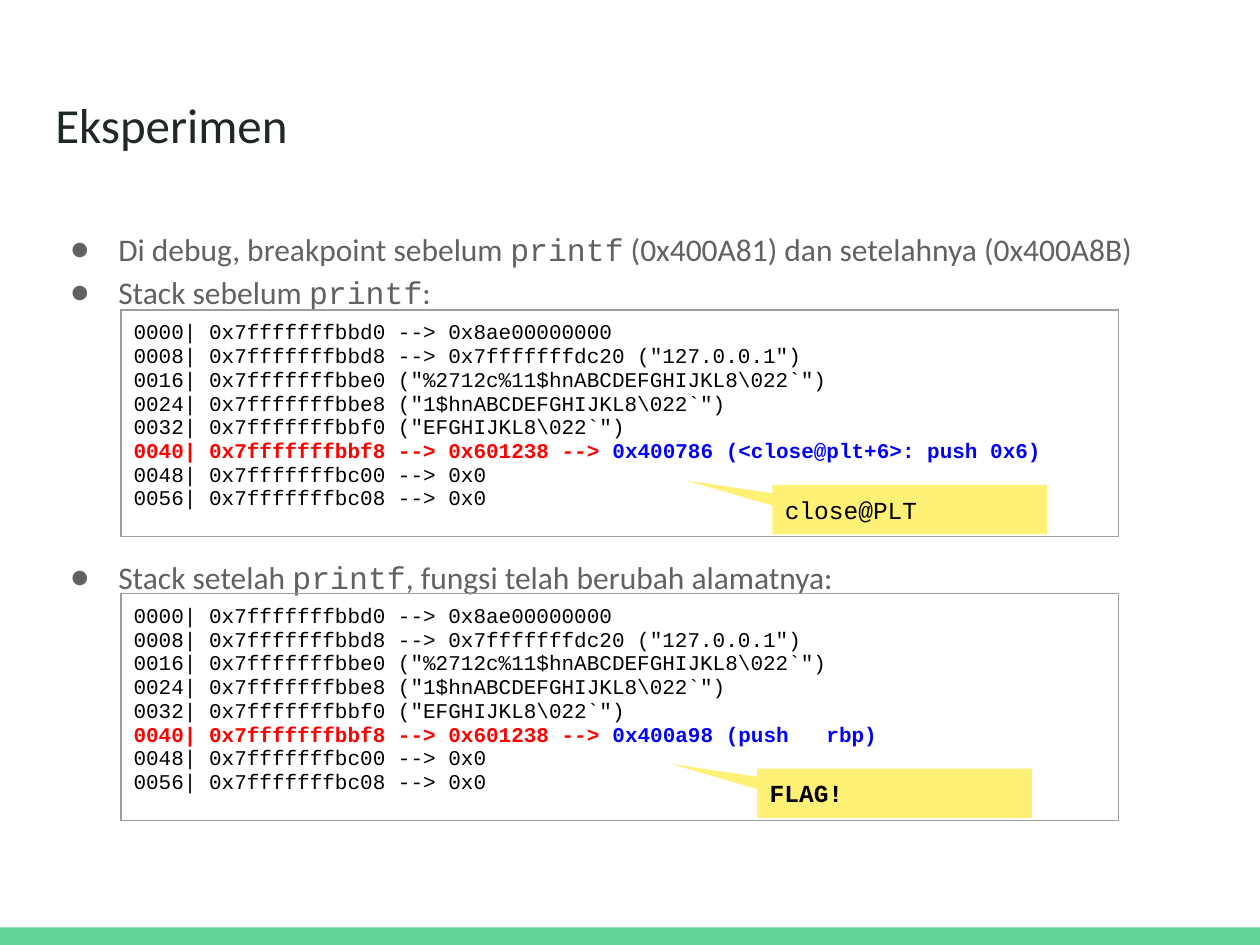
from lxml import etree
from pptx import Presentation
from pptx.dml.color import RGBColor
from pptx.enum.shapes import MSO_SHAPE
from pptx.enum.text import MSO_ANCHOR, PP_ALIGN
from pptx.oxml.ns import qn
from pptx.util import Inches, Pt

RECTANGLE = MSO_SHAPE.RECTANGLE
CALLOUT = MSO_SHAPE.RECTANGULAR_CALLOUT
TOP, MIDDLE = MSO_ANCHOR.TOP, MSO_ANCHOR.MIDDLE
LEFT = PP_ALIGN.LEFT

WIDTH, HEIGHT = 10, 7.5
SANS, MONO = "Calibri", "Courier New"
CODE_SIZE = 12
COLORS = {
    "title": "202729", "body": "616161", "code": "000000", "address": "FF0000",
    "target": "0000FF", "border": "9E9E9E", "callout": "FFF176", "bar": "63D297",
}

TITLE = "Eksperimen"
BULLETS = [
    (0, [("Di debug, breakpoint sebelum ", SANS), ("printf", MONO),
         (" (0x400A81) dan setelahnya (0x400A8B)", SANS)]),
    (0, [("Stack sebelum ", SANS), ("printf", MONO), (":", SANS)]),
    (138, [("Stack setelah ", SANS), ("printf", MONO),
           (", fungsi telah berubah alamatnya:", SANS)]),
]
STACK_HEAD = [
    "0000| 0x7fffffffbbd0 --> 0x8ae00000000",
    '0008| 0x7fffffffbbd8 --> 0x7fffffffdc20 ("127.0.0.1")',
    '0016| 0x7fffffffbbe0 ("%2712c%11$hnABCDEFGHIJKL8\\022`")',
    '0024| 0x7fffffffbbe8 ("1$hnABCDEFGHIJKL8\\022`")',
    '0032| 0x7fffffffbbf0 ("EFGHIJKL8\\022`")',
]
CHANGED_ENTRY = "0040| 0x7fffffffbbf8 --> 0x601238 --> "
STACK_TAIL = ["0048| 0x7fffffffbc00 --> 0x0", "0056| 0x7fffffffbc08 --> 0x0"]
DUMPS = [
    {"target": "0x400786 (<close@plt+6>: push 0x6)", "label": "close@PLT",
     "label_left": 6.13, "bold": False},
    {"target": "0x400a98 (push   rbp)", "label": "FLAG!",
     "label_left": 6.01, "bold": True},
]
MARGIN = 0.34
DUMP_LEFT, DUMP_TOP, DUMP_WIDTH, DUMP_HEIGHT = 0.96, 2.46, 7.92, 1.7
DUMP_PITCH, LABEL_DROP = 2.25, 1.39


def inches(*lengths):
    return [Inches(length) for length in lengths]


def color(name):
    return RGBColor.from_string(COLORS[name])


def set_font(font, name, size, color_name, bold=False):
    font.name, font.size, font.bold = name, Pt(size), bold
    font.color.rgb = color(color_name)


def prepare_frame(frame, anchor):
    frame.word_wrap = True
    frame.vertical_anchor = anchor
    frame.margin_left = frame.margin_right = Inches(0.1)
    frame.margin_top = frame.margin_bottom = Inches(0.1)
    return frame


def paragraphs(frame, count):
    for _ in range(count - 1):
        frame.add_paragraph()
    return frame.paragraphs


def set_end_size(paragraph, size):
    etree.SubElement(paragraph._p, qn("a:endParaRPr"), sz=str(size * 100))


def add_box(slide, kind, place, fill):
    shape = slide.shapes.add_shape(kind, *inches(*place))
    shape.shadow.inherit = False
    shape.fill.solid()
    shape.fill.fore_color.rgb = color(fill)
    shape.line.fill.background()
    return shape


def add_text_frame(slide, top, height):
    box = slide.shapes.add_textbox(*inches(MARGIN, top, WIDTH - 2 * MARGIN, height))
    return prepare_frame(box.text_frame, TOP)


def add_bullet(paragraph):
    properties = paragraph._p.get_or_add_pPr()
    properties.set("marL", str(Inches(0.5)))
    properties.set("indent", str(Inches(-0.38)))
    bullet_color = etree.SubElement(properties, qn("a:buClr"))
    etree.SubElement(bullet_color, qn("a:srgbClr"), val=COLORS["body"])
    etree.SubElement(properties, qn("a:buFont"), typeface=SANS)
    etree.SubElement(properties, qn("a:buChar"), char="●")


def add_bullets(slide):
    frame = add_text_frame(slide, 1.68, 4.98)
    for paragraph, (space, runs) in zip(paragraphs(frame, len(BULLETS)), BULLETS):
        paragraph.line_spacing = 1.15
        paragraph.space_before = Pt(space)
        add_bullet(paragraph)
        for text, font_name in runs:
            run = paragraph.add_run()
            run.text = text
            set_font(run.font, font_name, 18, "body")


def add_borders(cell):
    properties = cell._tc.get_or_add_tcPr()
    for index, side in enumerate(("lnL", "lnR", "lnT", "lnB")):
        line = etree.Element(qn(f"a:{side}"), w=str(Pt(0.75)))
        fill = etree.SubElement(line, qn("a:solidFill"))
        etree.SubElement(fill, qn("a:srgbClr"), val=COLORS["border"])
        properties.insert(index, line)


def add_dump(slide, top, target):
    place = inches(DUMP_LEFT, top, DUMP_WIDTH, DUMP_HEIGHT)
    table = slide.shapes.add_table(1, 1, *place).table
    table.first_row = table.horz_banding = False
    cell = table.cell(0, 0)
    cell.fill.background()
    add_borders(cell)
    cell.margin_left = cell.margin_right = Inches(0.1)
    cell.margin_top = cell.margin_bottom = Inches(0.1)
    lines = [[(text, "code")] for text in STACK_HEAD]
    lines.append([(CHANGED_ENTRY, "address"), (target, "target")])
    lines += [[(text, "code")] for text in STACK_TAIL]
    for paragraph, runs in zip(paragraphs(cell.text_frame, len(lines)), lines):
        for text, color_name in runs:
            run = paragraph.add_run()
            run.text = text
            set_font(run.font, MONO, CODE_SIZE, color_name, color_name != "code")
        set_end_size(paragraph, CODE_SIZE)


def add_label(slide, top, dump):
    shape = add_box(slide, CALLOUT, (dump["label_left"], top, 2.18, 0.39), "callout")
    shape.adjustments[0], shape.adjustments[1] = -0.815, -0.595
    paragraph = prepare_frame(shape.text_frame, MIDDLE).paragraphs[0]
    paragraph.text = dump["label"]
    paragraph.alignment = LEFT
    set_font(paragraph.font, MONO, 14, "code", dump["bold"])


def main():
    presentation = Presentation()
    presentation.slide_width, presentation.slide_height = inches(WIDTH, HEIGHT)
    slide = presentation.slides.add_slide(presentation.slide_layouts[6])
    add_box(slide, RECTANGLE, (0, HEIGHT - 0.14, WIDTH, 0.14), "bar")
    title = add_text_frame(slide, 0.65, 0.83).paragraphs[0]
    title.text = TITLE
    set_font(title.font, SANS, 28, "title")
    add_bullets(slide)
    tops = [DUMP_TOP + index * DUMP_PITCH for index in range(len(DUMPS))]
    for top, dump in zip(tops, DUMPS):
        add_dump(slide, top, dump["target"])
    for top, dump in zip(tops, DUMPS):
        add_label(slide, top + LABEL_DROP, dump)
    presentation.save("out.pptx")


if __name__ == "__main__":
    main()
